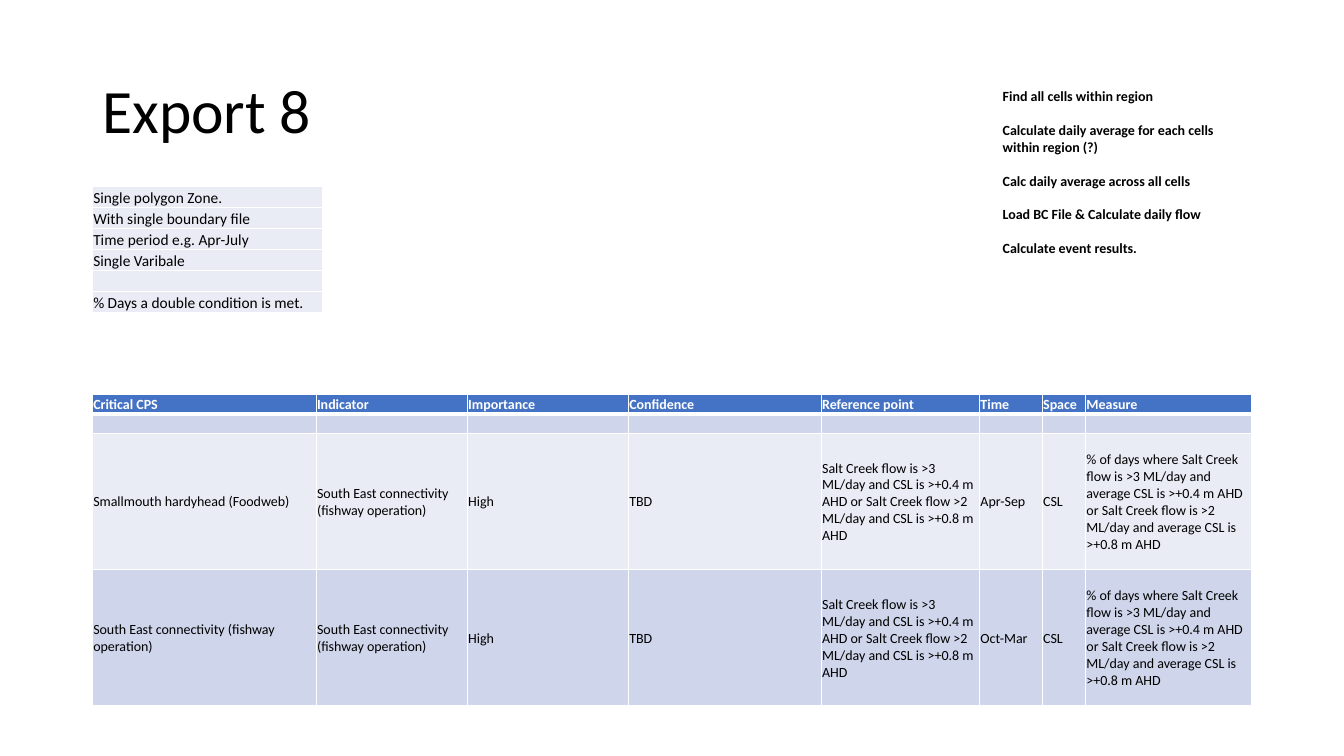
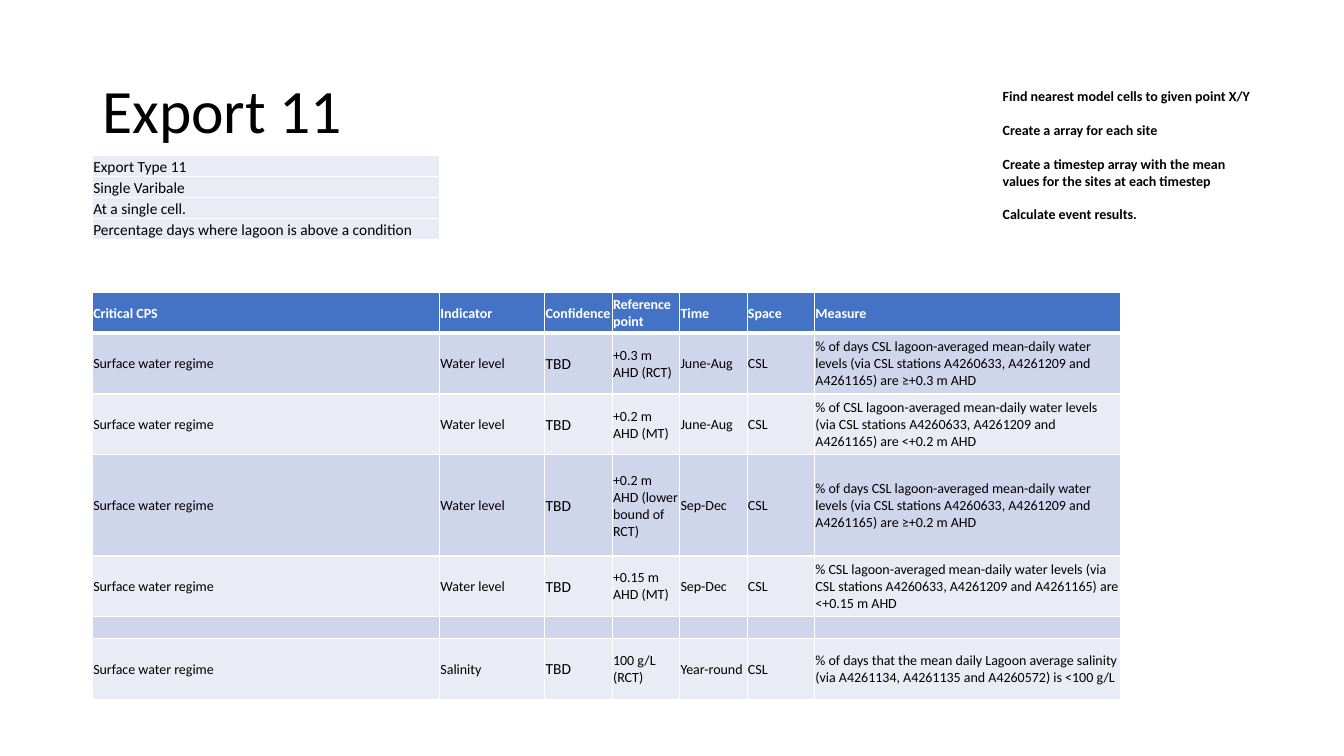
from pptx import Presentation
from pptx import util as u
from pptx.dml.color import RGBColor
from pptx.enum import text
from pptx.oxml import parse_xml
from pptx.oxml.ns import nsdecls

Cm, Pt = u.Cm, u.Pt

BLACK = RGBColor(0x00, 0x00, 0x00)
WHITE = RGBColor(0xFF, 0xFF, 0xFF)
HEADER = RGBColor(0x44, 0x72, 0xC4)
BAND_DARK = RGBColor(0xCF, 0xD5, 0xEA)
BAND_LIGHT = RGBColor(0xE9, 0xEB, 0xF5)


class Deck:
    """Holds the shared style and the slide being built."""

    FONT = "Calibri"
    LEFT = 2.33
    WIDTH = 29.21
    SUMMARY_ROW = 0.53
    LINE, HEADER_LINE = 1, 3

    def __init__(self):
        """Start a widescreen presentation."""
        self.prs = Presentation()
        self.prs.slide_width, self.prs.slide_height = Cm(33.87), Cm(19.05)
        self.s = None

    def slide(self, title):
        """Add a blank slide with its title."""
        self.s = self.prs.slides.add_slide(self.prs.slide_layouts[6])
        tf = self.textbox(self.LEFT, 1.01, self.WIDTH, 3.68)
        tf.vertical_anchor = text.MSO_ANCHOR.MIDDLE
        p = tf.paragraphs[0]
        p.text = title
        p.line_spacing = 0.9
        self.format(p, 44)

    def textbox(self, left, top, width, height):
        """Add a wrapping text box and return its text frame."""
        sp = self.s.shapes.add_textbox(Cm(left), Cm(top), Cm(width), Cm(height))
        sp.text_frame.word_wrap = True
        return sp.text_frame

    def format(self, p, size, color=BLACK, bold=False):
        """Format the runs of a paragraph, or its end mark if it is empty."""
        for r in p.runs:
            r.font.name, r.font.size = self.FONT, Pt(size)
            r.font.bold, r.font.color.rgb = bold, color
        if not p.runs:
            p._p.get_or_add_endParaRPr().set("sz", str(size * 100))

    def steps(self, lines, height):
        """List the calculation steps at the top right."""
        tf = self.textbox(25.02, 2.08, 6.78, height)
        tf.text = "\n".join(lines)
        for i, p in enumerate(tf.paragraphs):
            p.space_before = Pt(12.2 if i else 0)
            self.format(p, 10, bold=True)

    def cell(self, cell, value, fill, anchor, top=LINE, bottom=LINE):
        """Fill one table cell, draw its borders and return its paragraph."""
        cell.margin_left = cell.margin_right = cell.margin_top = Cm(0.02)
        cell.margin_bottom = 0
        cell.vertical_anchor = anchor
        tcPr = cell._tc.get_or_add_tcPr()
        widths = {"L": self.LINE, "R": self.LINE, "T": top, "B": bottom}
        for side, width in widths.items():
            tcPr.append(parse_xml(
                f'<a:ln{side} {nsdecls("a")} w="{Pt(width)}"><a:solidFill>'
                f'<a:srgbClr val="{WHITE}"/></a:solidFill></a:ln{side}>'))
        cell.fill.solid()
        cell.fill.fore_color.rgb = fill
        cell.text_frame.text = value
        return cell.text_frame.paragraphs[0]

    def grid(self, top, widths, heights):
        """Add a table with the given column widths and row heights."""
        tbl = self.s.shapes.add_table(
            len(heights), len(widths), Cm(self.LEFT), Cm(top),
            Cm(sum(widths)), Cm(sum(heights))).table
        for column, width in zip(tbl.columns, widths):
            column.width = Cm(width)
        for row, height in zip(tbl.rows, heights):
            row.height = Cm(height)
        return tbl

    def summary_table(self, top, width, lines):
        """Add the one-column table that describes the export."""
        tbl = self.grid(top, [width], [self.SUMMARY_ROW] * len(lines))
        tbl.first_row = False
        for i, line in enumerate(lines):
            p = self.cell(tbl.cell(i, 0), line, BAND_LIGHT,
                          text.MSO_ANCHOR.BOTTOM)
            self.format(p, 11)

    def indicator_table(self, top, widths, heights, rows, large=()):
        """Add a banded table; body cells in the large columns use 11 pt."""
        tbl = self.grid(top, widths, heights)
        for i, row in enumerate(rows):
            head = i == 0
            fill = HEADER if head else BAND_DARK if i % 2 else BAND_LIGHT
            above = self.HEADER_LINE if i == 1 else self.LINE
            below = self.HEADER_LINE if head else self.LINE
            for j, value in enumerate(row):
                p = self.cell(tbl.cell(i, j), value, fill,
                              text.MSO_ANCHOR.MIDDLE, above, below)
                size = 11 if j in large and not head else 10
                self.format(p, size, WHITE if head else BLACK, head)


def export_8(deck):
    """Build the slide on the double flow and level condition."""
    connectivity = "South East connectivity (fishway operation)"
    reference = ("Salt Creek flow is >3 ML/day and CSL is >+0.4 m AHD or "
                 "Salt Creek flow >2 ML/day and CSL is >+0.8 m AHD")
    measure = ("% of days where Salt Creek flow is >3 ML/day and average CSL "
               "is >+0.4 m AHD or Salt Creek flow is >2 ML/day and average "
               "CSL is >+0.8 m AHD")
    columns = ["Critical CPS", "Indicator", "Importance", "Confidence",
               "Reference point", "Time", "Space", "Measure"]
    subjects = [("Smallmouth hardyhead (Foodweb)", "Apr-Sep"),
                (connectivity, "Oct-Mar")]
    rows = [columns, [""] * len(columns)]
    rows += [[subject, connectivity, "High", "TBD", reference, time, "CSL",
              measure] for subject, time in subjects]

    deck.slide("Export 8")
    deck.indicator_table(
        9.93, [5.64, 3.81, 4.06, 4.86, 3.99, 1.58, 1.09, 4.19],
        [0.5, 0.5, 3.43, 3.43], rows)
    deck.summary_table(4.7, 5.79, [
        "Single polygon Zone.", "With single boundary file",
        "Time period e.g. Apr-July", "Single Varibale", "",
        "% Days a double condition is met."])
    deck.steps([
        "Find all cells within region",
        "Calculate daily average for each cells within region (?)",
        "Calc daily average across all cells",
        "Load BC File & Calculate daily flow",
        "Calculate event results."], 5.38)


def export_11(deck):
    """Build the slide on lagoon levels and salinity."""
    columns = ["Critical CPS", "Indicator", "Confidence", "Reference point",
               "Time", "Space", "Measure"]
    levels = [
        ("+0.3 m AHD (RCT)", "June-Aug", "of days CSL", "≥+0.3"),
        ("+0.2 m AHD (MT)", "June-Aug", "of CSL", "<+0.2"),
        ("+0.2 m AHD (lower bound of RCT)", "Sep-Dec", "of days CSL", "≥+0.2"),
        ("+0.15 m AHD (MT)", "Sep-Dec", "CSL", "<+0.15")]
    regime = "Surface water regime"
    rows = [columns]
    rows += [[regime, "Water level", "TBD", reference, time, "CSL",
              f"% {share} lagoon-averaged mean-daily water levels (via CSL "
              f"stations A4260633, A4261209 and A4261165) are {limit} m AHD"]
             for reference, time, share, limit in levels]
    rows += [[""] * len(columns),
             [regime, "Salinity", "TBD", "100 g/L (RCT)", "Year-round", "CSL",
              "% of days that the mean daily Lagoon average salinity (via "
              "A4261134, A4261135 and A4260572) is <100 g/L"]]

    deck.slide("Export 11")
    deck.indicator_table(
        7.37, [8.75, 2.65, 1.7, 1.7, 1.7, 1.7, 7.72],
        [1.03, 1.53, 1.53, 2.55, 1.53, 0.56, 1.53], rows,
        large=[columns.index("Confidence")])
    deck.summary_table(3.92, 8.75, [
        "Export Type 11", "Single Varibale", "At a single cell.",
        "Percentage days where lagoon is above a condition"])
    deck.steps([
        "Find nearest model cells to given point X/Y",
        "Create a array for each site",
        "Create a timestep array with the mean values for the sites at each "
        "timestep",
        "Calculate event results."], 4.95)


deck = Deck()
export_8(deck)
export_11(deck)
deck.prs.save("out.pptx")
